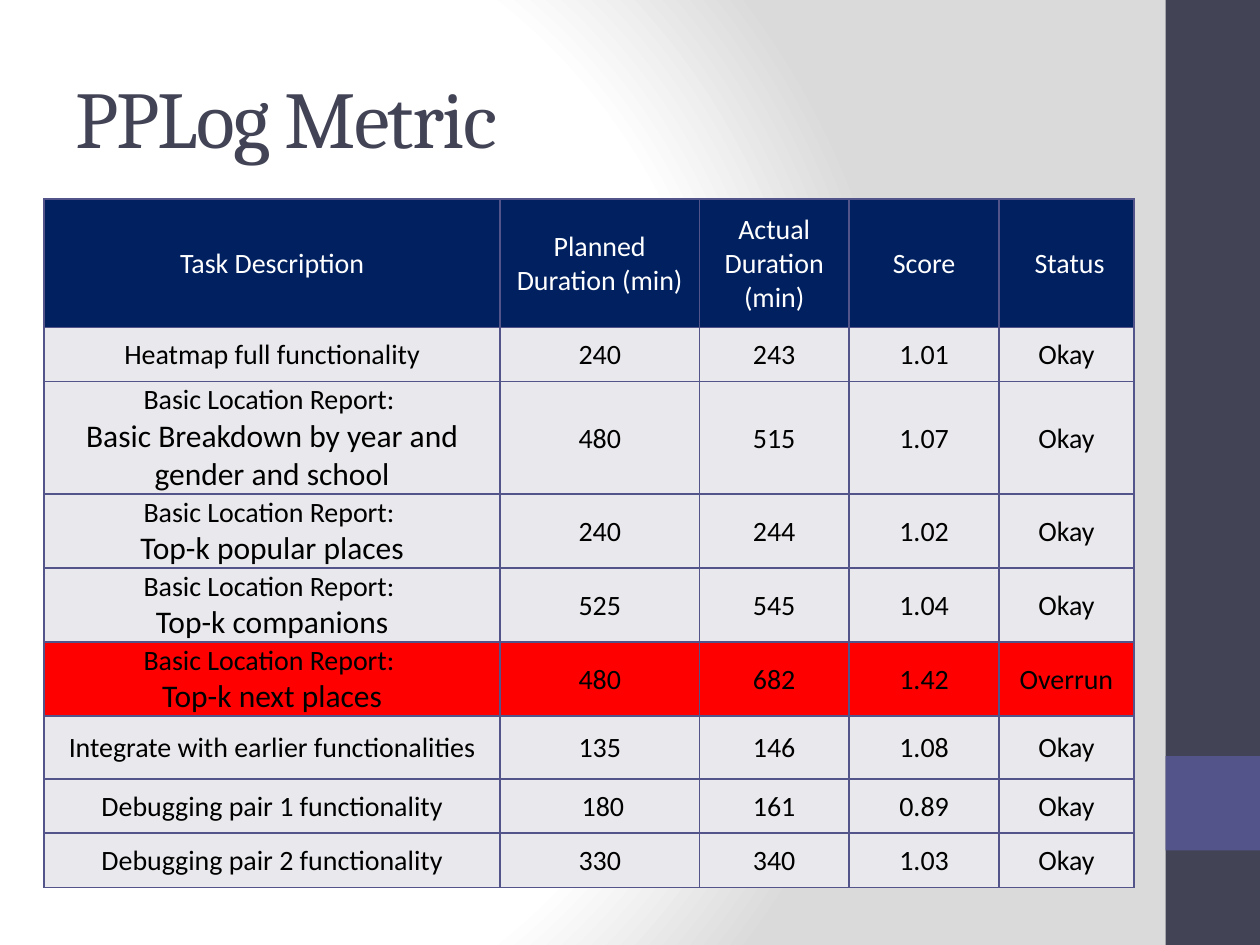
from dataclasses import dataclass

from lxml import etree
from pptx import Presentation
from pptx.dml.color import RGBColor
from pptx.enum.shapes import MSO_SHAPE
from pptx.enum.text import MSO_ANCHOR, PP_ALIGN
from pptx.oxml import parse_xml
from pptx.util import Inches, Pt

RECTANGLE = MSO_SHAPE.RECTANGLE
MIDDLE = MSO_ANCHOR.MIDDLE
LEFT, CENTER = PP_ALIGN.LEFT, PP_ALIGN.CENTER
DRAWING = "http://schemas.openxmlformats.org/drawingml/2006/main"
PRESENTATION = "http://schemas.openxmlformats.org/presentationml/2006/main"


@dataclass(frozen=True)
class Theme:
    slate: str = "424456"
    violet: str = "53548A"
    navy: str = "002060"
    pale: str = "E9E9ED"
    red: str = "FF0000"
    white: str = "FFFFFF"
    black: str = "000000"
    gray: str = "DADADA"
    title_font: str = "Cambria"
    body_font: str = "Calibri"
    title_size: int = 46
    body_size: int = 16
    detail_size: int = 18


@dataclass(frozen=True)
class Band:
    top: float
    height: float
    color: str


@dataclass(frozen=True)
class Task:
    name: str
    planned: str
    actual: str
    score: str
    status: str = "Okay"
    detail: str = ""
    height: float = 0.5


THEME = Theme()
REPORT = "Basic Location Report: "
HEADERS = ("Task Description", "Planned Duration (min)", "Actual Duration (min)",
           "Score", " Status")
HEADER_HEIGHT = 1.02
COLUMN_WIDTHS = (3.62, 1.58, 1.19, 1.19, 1.07)
BANDS = (Band(0, 7.5, THEME.slate), Band(6, 0.75, THEME.violet))
TASKS = (
    Task("Heatmap full functionality", "240", "243", "1.01", height=0.43),
    Task(REPORT, "480", "515", "1.07",
         detail="Basic Breakdown by year and gender and school"),
    Task(REPORT, "240", "244", "1.02", detail="Top-k popular places"),
    Task(REPORT, "525", "545", "1.04", detail="Top-k companions"),
    Task(REPORT, "480", "682", "1.42", "Overrun", "Top-k next places"),
    Task("Integrate with earlier functionalities", "135", "146", "1.08"),
    Task("Debugging pair 1 functionality", "\u00a0180", "161", "0.89", height=0.43),
    Task("Debugging pair 2 functionality", "330", "340", "1.03", height=0.43),
)


def add_text(paragraph, text: str, font: str, size: int, color: str):
    run = paragraph.add_run()
    run.text = text
    run.font.name = font
    run.font.size = Pt(size)
    run.font.color.rgb = RGBColor.from_string(color)
    return run


def set_background(slide) -> None:
    stops = "".join(
        f'<a:gs pos="{position * 1000}"><a:srgbClr val="{color}"/></a:gs>'
        for position, color in ((0, THEME.white), (75, THEME.white), (100, THEME.gray)))
    slide.element.cSld.insert(0, parse_xml(
        f'<p:bg xmlns:p="{PRESENTATION}" xmlns:a="{DRAWING}"><p:bgPr>'
        f'<a:gradFill rotWithShape="1"><a:gsLst>{stops}</a:gsLst><a:path path="circle">'
        '<a:fillToRect l="20000" t="50000" r="100000" b="50000"/></a:path></a:gradFill>'
        '<a:effectLst/></p:bgPr></p:bg>'))


def add_band(slide, band: Band) -> None:
    shape = slide.shapes.add_shape(RECTANGLE, Inches(9.25), Inches(band.top),
                                   Inches(0.75), Inches(band.height))
    shape.shadow.inherit = False
    shape.fill.solid()
    shape.fill.fore_color.rgb = RGBColor.from_string(band.color)
    shape.line.fill.background()


def add_borders(cell) -> None:
    properties = cell._tc.get_or_add_tcPr()
    for index, side in enumerate(("lnL", "lnR", "lnT", "lnB")):
        line = etree.Element(f"{{{DRAWING}}}{side}", w=str(Pt(1)))
        fill = etree.SubElement(line, f"{{{DRAWING}}}solidFill")
        etree.SubElement(fill, f"{{{DRAWING}}}srgbClr", val=THEME.violet)
        properties.insert(index, line)


def fill_cell(cell, text: str, fill: str, color: str, detail: str = "") -> None:
    cell.fill.solid()
    cell.fill.fore_color.rgb = RGBColor.from_string(fill)
    cell.vertical_anchor = MIDDLE
    cell.margin_left = cell.margin_right = cell.margin_top = Inches(0.01)
    cell.margin_bottom = 0
    frame = cell.text_frame
    paragraph = frame.paragraphs[0]
    paragraph.alignment = CENTER
    add_text(paragraph, text, THEME.body_font, THEME.body_size, color)
    if detail:
        paragraph = frame.add_paragraph()
        paragraph.alignment = CENTER
        add_text(paragraph, detail, THEME.body_font, THEME.detail_size, color)
    add_borders(cell)


def add_task_table(slide) -> None:
    graphic = slide.shapes.add_table(len(TASKS) + 1, len(HEADERS), Inches(0.35),
                                     Inches(1.58), Inches(8.66), Inches(5.42))
    table = graphic.table
    for column, width in zip(table.columns, COLUMN_WIDTHS):
        column.width = Inches(width)
    heights = (HEADER_HEIGHT, *(task.height for task in TASKS))
    for row, height in zip(table.rows, heights):
        row.height = Inches(height)
    graphic.height = Inches(5.42)

    for index, header in enumerate(HEADERS):
        fill_cell(table.cell(0, index), header, THEME.navy, THEME.white)
    for row_index, task in enumerate(TASKS, start=1):
        fill = THEME.red if task.status == "Overrun" else THEME.pale
        values = (task.name, task.planned, task.actual, task.score, task.status)
        for index, value in enumerate(values):
            detail = task.detail if index == 0 else ""
            fill_cell(table.cell(row_index, index), value, fill, THEME.black, detail)


def set_title(slide, text: str) -> None:
    title = slide.shapes.title
    title.left, title.top = Inches(0.5), Inches(0.3)
    title.width, title.height = Inches(8.33), Inches(1.25)
    title.text_frame.vertical_anchor = MIDDLE
    paragraph = title.text_frame.paragraphs[0]
    paragraph.alignment = LEFT
    run = add_text(paragraph, text, THEME.title_font, THEME.title_size, THEME.slate)
    run.font._element.set("spc", "-100")


# Slide and backdrop
presentation = Presentation()
presentation.slide_width, presentation.slide_height = Inches(10), Inches(7.5)
slide = presentation.slides.add_slide(presentation.slide_layouts[5])
set_background(slide)
for band in BANDS:
    add_band(slide, band)

# Title and task table
set_title(slide, "PPLog Metric")
add_task_table(slide)

presentation.save("out.pptx")
